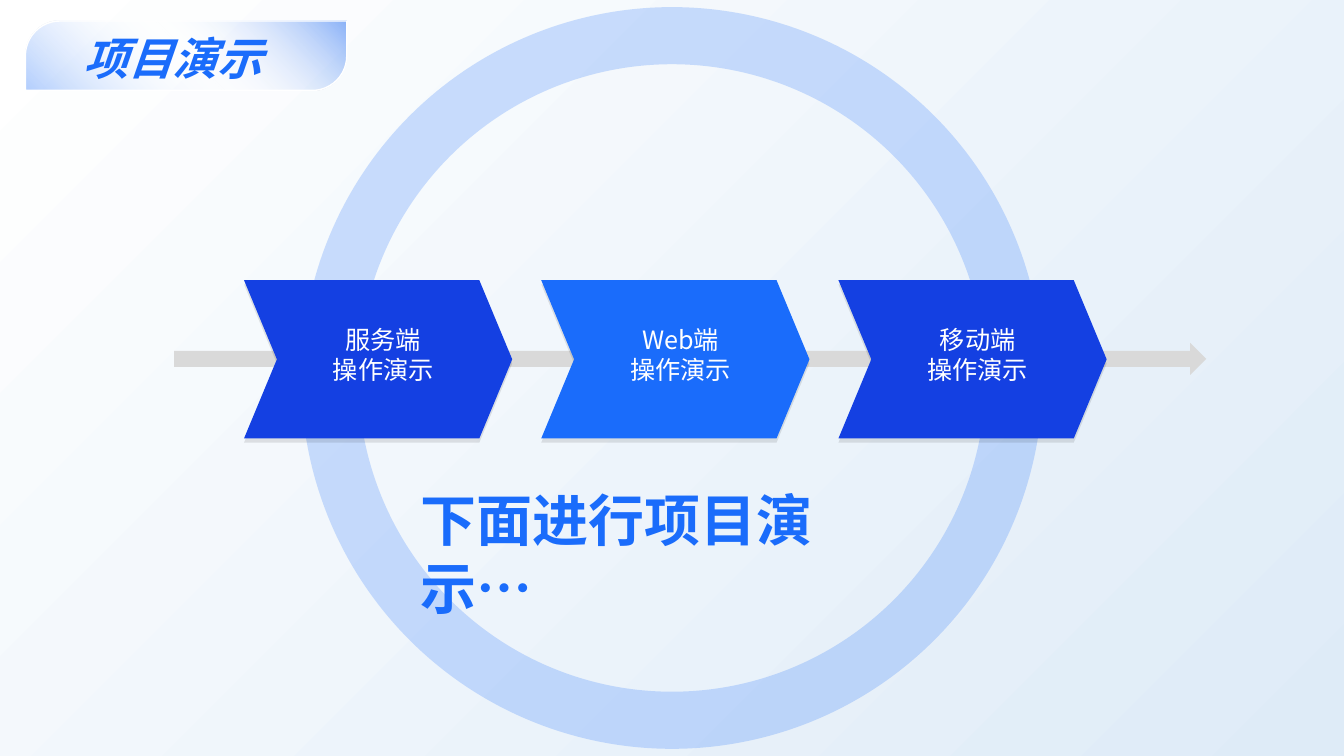
from dataclasses import dataclass

from lxml import etree
from pptx import Presentation
from pptx import util as u
from pptx.dml.color import RGBColor
from pptx.enum import shapes, text
from pptx.oxml.ns import qn


@dataclass(frozen=True)
class Theme:
    """Colours, font and type sizes of the slide."""
    font: str = "Noto Sans CJK SC"
    white: str = "FFFFFF"
    pale: str = "DEEBF7"
    grey: str = "D9D9D9"
    black: str = "000000"
    bright: str = "1A6CFB"
    vivid: str = "045AF0"
    deep: str = "1440E2"
    title_size: int = 32
    caption_size: int = 40
    step_size: int = 18


THEME = Theme()
STEPS = [("服务端", THEME.deep), ("Web端", THEME.bright), ("移动端", THEME.deep)]
STEP_LEFT, STEP_PITCH = 6.15, 7.49


def append_color(parent, color, opacity):
    """Append an RGB colour with an opacity in percent to an XML element."""
    element = etree.SubElement(parent, qn("a:srgbClr"), val=color)
    etree.SubElement(element, qn("a:alpha"), val=str(opacity * 1000))


def paint_gradient(fill, owner, stops, angle):
    """Paint a linear gradient of (position, colour, opacity) stops, angle clockwise."""
    fill.gradient()
    fill.gradient_angle = 360 - angle
    stop_list = owner.find(".//" + qn("a:gsLst"))
    for stop in list(stop_list):
        stop_list.remove(stop)
    for position, color, opacity in stops:
        stop = etree.SubElement(stop_list, qn("a:gs"), pos=str(position * 1000))
        append_color(stop, color, opacity)


def add_shape(slide, kind, box, color, adjustments=()):
    """Add a flat, unoutlined preset shape at a box given in centimetres."""
    shape = slide.shapes.add_shape(kind, *map(u.Cm, box))
    shape.shadow.inherit = False
    shape.fill.solid()
    shape.fill.fore_color.rgb = RGBColor.from_string(color)
    shape.line.fill.background()
    for index, value in enumerate(adjustments):
        shape.adjustments[index] = value
    return shape


def add_run(paragraph, words, size, color, bold=False, italic=False):
    """Add one styled run to a paragraph."""
    run = paragraph.add_run()
    run.text = words
    font = run.font
    font.name, font.size = THEME.font, u.Pt(size)
    font.bold, font.italic = bold, italic
    font.color.rgb = RGBColor.from_string(color)
    etree.SubElement(font._element, qn("a:ea"), typeface=THEME.font)


def add_heading(slide, box, words, size, italic=False):
    """Add a bold text box that grows with its text."""
    frame = slide.shapes.add_textbox(*map(u.Cm, box)).text_frame
    frame.word_wrap = False
    frame.auto_size = text.MSO_AUTO_SIZE.SHAPE_TO_FIT_TEXT
    add_run(frame.paragraphs[0], words, size, THEME.bright, True, italic)
    return frame


def add_ring(slide):
    """Add the translucent ring behind the process."""
    ring = add_shape(slide, shapes.MSO_SHAPE.DONUT, (7.59, 0.18, 18.69, 18.69),
                     THEME.bright, [0.077])
    color = ring.element.spPr.find(qn("a:solidFill")).find(qn("a:srgbClr"))
    etree.SubElement(color, qn("a:alpha"), val="21000")


def add_banner(slide):
    """Add the gradient banner and the slide title."""
    banner = add_shape(slide, shapes.MSO_SHAPE.ROUND_2_DIAG_RECTANGLE,
                       (0.64, 0.53, 8.1, 1.75), THEME.white, [0.5, 0])
    paint_gradient(banner.fill, banner.element,
                   [(0, THEME.vivid, 46), (49, THEME.white, 0), (100, THEME.bright, 34)], 135)
    banner.line.color.rgb = RGBColor.from_string(THEME.white)
    banner.line.width = u.Pt(1)
    add_heading(slide, (1.85, 0.66, 5.03, 1.63), "项目演示", THEME.title_size, italic=True)


def add_step(slide, left, name, color):
    """Add one chevron step with a soft drop below it."""
    step = add_shape(slide, shapes.MSO_SHAPE.CHEVRON, (left, 7.06, 6.76, 3.99), color, [0.208])
    effects = step.element.spPr.find(qn("a:effectLst"))
    shadow = etree.SubElement(effects, qn("a:outerShdw"), blurRad="0",
                              dist=str(u.Pt(3)), dir="5400000", algn="t", rotWithShape="0")
    append_color(shadow, THEME.black, 10)
    frame = step.text_frame
    frame.word_wrap = True
    frame.vertical_anchor = text.MSO_ANCHOR.MIDDLE
    frame.margin_left, frame.margin_top = u.Cm(0.51), u.Cm(0)
    frame.margin_right = frame.margin_bottom = u.Cm(0.25)
    for index, words in enumerate((name, "操作演示")):
        paragraph = frame.add_paragraph() if index else frame.paragraphs[0]
        paragraph.alignment = text.PP_ALIGN.CENTER
        add_run(paragraph, words, THEME.step_size, THEME.white)


def add_caption(slide):
    """Add the two-line caption below the process."""
    frame = add_heading(slide, (10.36, 12.12, 13.16, 1.96), "下面进行项目演示…",
                        THEME.caption_size)
    frame.word_wrap = True
    frame.margin_right = u.Cm(2.1)


def main():
    """Build and save the slide."""
    presentation = Presentation()
    presentation.slide_width, presentation.slide_height = u.Cm(33.87), u.Cm(19.05)
    slide = presentation.slides.add_slide(presentation.slide_layouts[6])
    paint_gradient(slide.background.fill, slide.element,
                   [(0, THEME.white, 100), (100, THEME.pale, 100)], 45)
    add_ring(slide)
    add_banner(slide)
    add_shape(slide, shapes.MSO_SHAPE.RIGHT_ARROW, (4.39, 8.64, 26.01, 0.81), THEME.grey)
    for index, (name, color) in enumerate(STEPS):
        add_step(slide, STEP_LEFT + index * STEP_PITCH, name, color)
    add_caption(slide)
    presentation.save("out.pptx")


if __name__ == "__main__":
    main()
